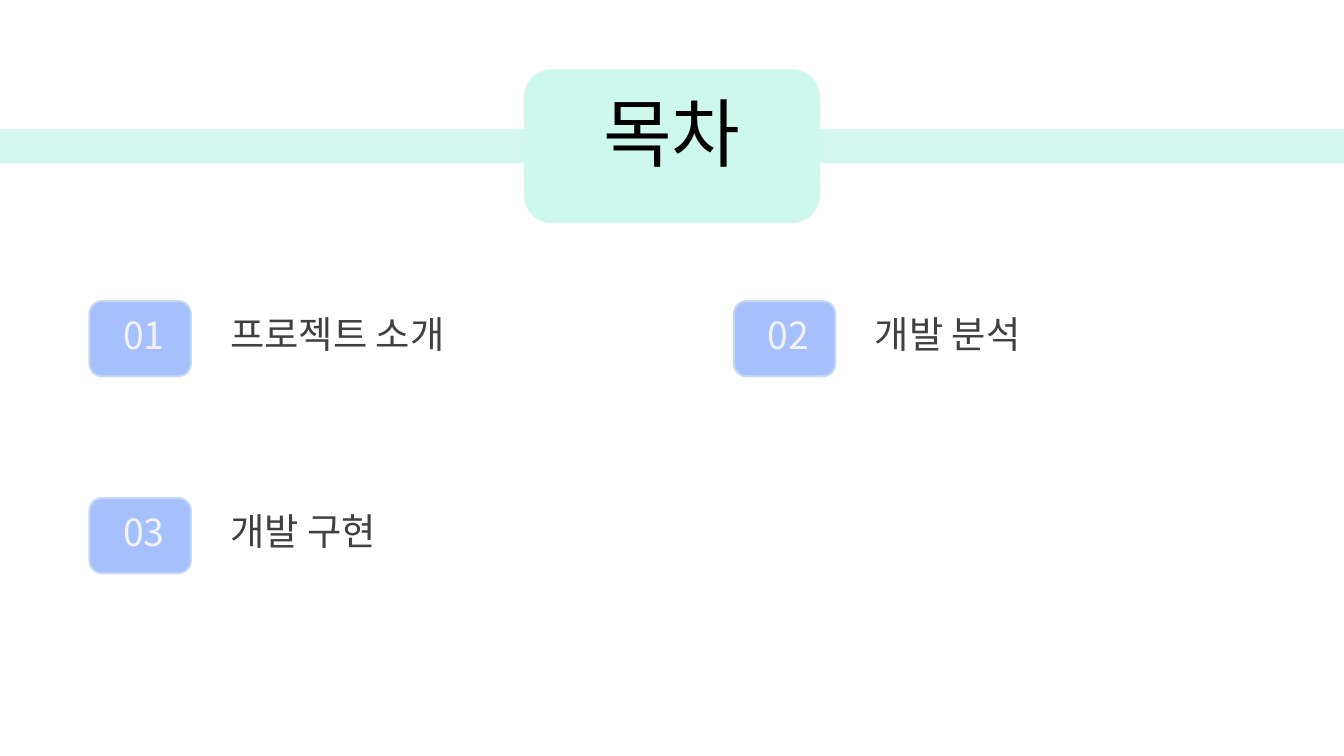
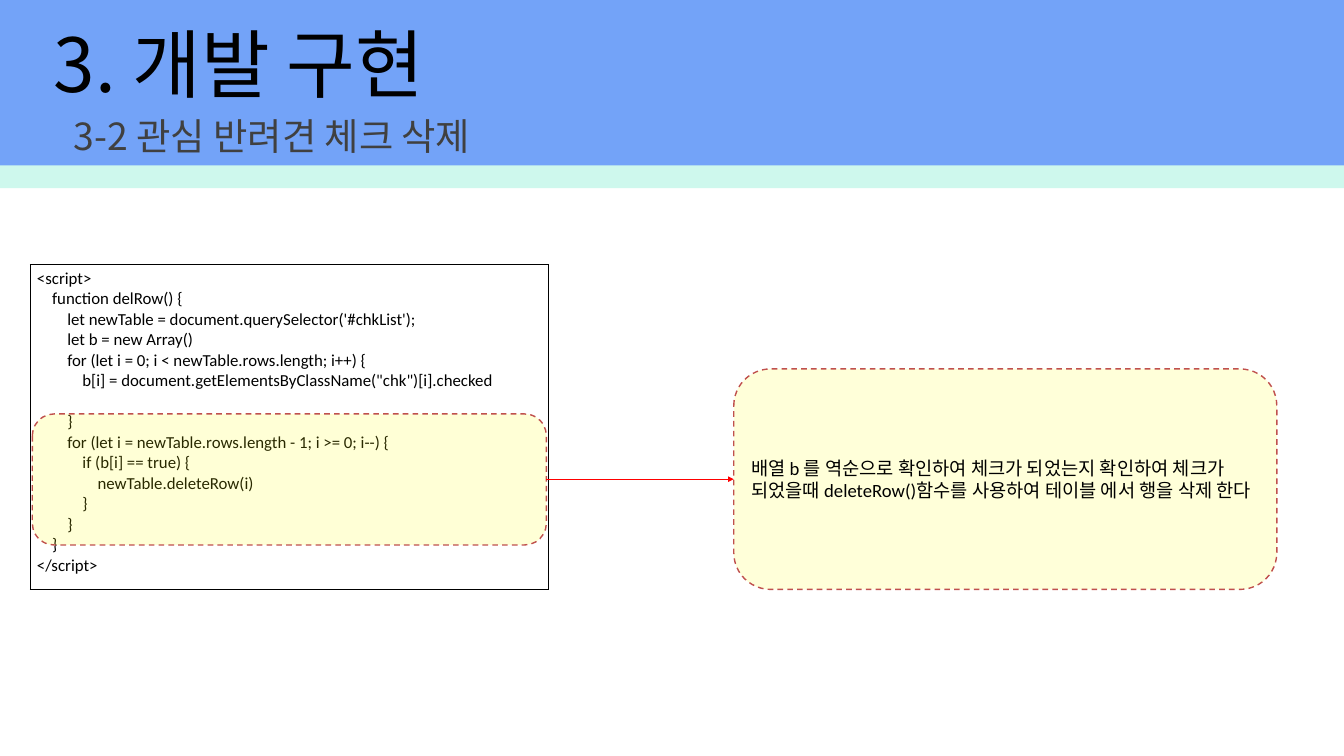
"""Build the contents slide and the row deletion slide of the project deck."""
from lxml.etree import SubElement
from pptx import Presentation
from pptx.dml.color import RGBColor
from pptx.enum.dml import MSO_LINE
from pptx.enum.shapes import MSO_CONNECTOR, MSO_SHAPE as Preset
from pptx.enum.text import MSO_ANCHOR as Anchor, MSO_AUTO_SIZE as AutoSize, PP_ALIGN as Align
from pptx.oxml.ns import qn
from pptx.util import Pt

WIDTH, HEIGHT = 1440, 810
BLACK = RGBColor(0x00, 0x00, 0x00)
DARK_GREY = RGBColor(0x40, 0x40, 0x40)
PALE_GREY = RGBColor(0xF2, 0xF2, 0xF2)
MINT = RGBColor(0xCE, 0xF8, 0xED)
BLUE = RGBColor(0x73, 0xA3, 0xF8)
BADGE_BLUE = RGBColor(0xA6, 0xC0, 0xFE)
BADGE_EDGE = RGBColor(0xC6, 0xD9, 0xF1)
YELLOW = RGBColor(0xFF, 0xFF, 0x00)
BRICK = RGBColor(0xC0, 0x50, 0x4D)
RED = RGBColor(0xFF, 0x00, 0x00)
KOREAN, LATIN = "Noto Sans CJK KR", "Calibri"

TOPICS = ["프로젝트 소개", "개발 분석", "개발 구현"]
CODE = [
    "<script>",
    "    function delRow() {",
    "        let newTable = document.querySelector('#chkList');",
    "        let b = new Array()",
    "        for (let i = 0; i < newTable.rows.length; i++) {",
    "            b[i] = document.getElementsByClassName(\"chk\")[i].checked",
    "\n        }",
    "        for (let i = newTable.rows.length - 1; i >= 0; i--) {",
    "            if (b[i] == true) {",
    "                newTable.deleteRow(i)",
    "            }",
    "        }",
    "    }",
    "</script>",
]
EXPLANATION = (
    "배열 b 를 역순으로 확인하여 체크가 되었는지 확인하여 체크가 되었을때 "
    "deleteRow()함수를 사용하여 테이블 에서 행을 삭제 한다"
)


def points(*values):
    """Convert numbers to lengths in points."""
    return [Pt(value) for value in values]


def write(frame, lines, size, color, font=KOREAN, align=Align.LEFT):
    """Fill a text frame with one paragraph per line."""
    frame.word_wrap = True
    for index, line in enumerate(lines):
        paragraph = frame.add_paragraph() if index else frame.paragraphs[0]
        paragraph.alignment = align
        for position, piece in enumerate(line.split("\n")):
            if position:
                paragraph.add_line_break()
            if piece:
                run = paragraph.add_run()
                run.text = piece
                run.font.size = Pt(size)
                run.font.color.rgb = color
                run.font.name = font
                SubElement(run.font._element, qn("a:ea"), typeface=KOREAN)
        if line.startswith("\n"):
            paragraph.font.size = Pt(size)
            for line_break in paragraph._p.findall(qn("a:br")):
                SubElement(line_break, qn("a:rPr"), sz=str(size * 100))


def add_text(slide, box, text, size, color, align=Align.LEFT):
    """Add a text box that fits its text."""
    frame = slide.shapes.add_textbox(*points(*box)).text_frame
    write(frame, [text], size, color, align=align)
    frame.auto_size = AutoSize.SHAPE_TO_FIT_TEXT


def add_title(slide, box, text, font=KOREAN, align=Align.LEFT, anchor=Anchor.TOP):
    """Place the title placeholder in front and return its text frame."""
    title = slide.shapes.title
    title.element.getparent().append(title.element)
    title.left, title.top, title.width, title.height = points(*box)
    frame = title.text_frame
    frame.auto_size = AutoSize.NONE
    frame.vertical_anchor = anchor
    write(frame, [text], 80, BLACK, font, align)
    return frame


def add_block(slide, preset, box, fill, opacity=100):
    """Add a filled shape without outline."""
    shape = slide.shapes.add_shape(preset, *points(*box))
    shape.shadow.inherit = False
    shape.fill.solid()
    shape.fill.fore_color.rgb = fill
    if opacity < 100:
        color = shape.fill._xPr.find(qn("a:solidFill"))[0]
        SubElement(color, qn("a:alpha"), val=str(opacity * 1000))
    shape.line.fill.background()
    return shape


def outline(shape, color, width):
    """Give a shape a solid outline."""
    shape.line.color.rgb = color
    shape.line.width = Pt(width)


def add_marker(slide, box, opacity):
    """Add a translucent yellow box with a dashed outline."""
    marker = add_block(slide, Preset.ROUNDED_RECTANGLE, box, YELLOW, opacity)
    outline(marker, BRICK, 1.5)
    marker.line.dash_style = MSO_LINE.DASH
    return marker


def add_topic(slide, left, top, number, topic):
    """Add a numbered badge with its topic."""
    badge = add_block(slide, Preset.FLOWCHART_ALTERNATE_PROCESS, (left, top, 108.7, 80.6), BADGE_BLUE)
    outline(badge, BADGE_EDGE, 2)
    add_text(slide, (left, top + 8, 116.6, 55.4), f"{number:02}", 40, PALE_GREY, Align.CENTER)
    add_text(slide, (left + 144, top + 7.2, 321, 55.4), topic, 40, DARK_GREY)


def add_code(slide, box):
    """Add the code listing as a bordered single-cell table."""
    table = slide.shapes.add_table(1, 1, *points(*box)).table
    table.first_row = table.horz_banding = False
    cell = table.cell(0, 0)
    write(cell.text_frame, CODE, 18, BLACK, LATIN)
    properties = cell._tc.get_or_add_tcPr()
    for side in ("lnL", "lnR", "lnT", "lnB"):
        border = SubElement(properties, qn(f"a:{side}"), w=str(Pt(1)))
        SubElement(SubElement(border, qn("a:solidFill")), qn("a:srgbClr"), val=str(BLACK))
    cell.fill.background()


def add_arrow(slide, start, end):
    """Add a thin red arrow."""
    arrow = slide.shapes.add_connector(MSO_CONNECTOR.STRAIGHT, *points(*start, *end))
    outline(arrow, RED, 0.75)
    SubElement(arrow.line._get_or_add_ln(), qn("a:tailEnd"), type="triangle")
    SubElement(arrow._element.spPr, qn("a:effectLst"))


def build_contents(slide):
    """Build the table of contents."""
    add_block(slide, Preset.RECTANGLE, (0, 138.2, WIDTH, 36.7), MINT, 87)
    plate = add_block(slide, Preset.ROUNDED_RECTANGLE, (561.6, 74.2, 316.8, 164.9), MINT)
    plate.adjustments[0] = 0.18
    frame = add_title(slide, (561.6, 28, 316.8, 210.5), "목차", LATIN, Align.CENTER, Anchor.MIDDLE)
    frame.margin_left = frame.margin_right = frame.margin_top = frame.margin_bottom = Pt(4)
    frame.paragraphs[0].line_spacing = Pt(112)
    for index, topic in enumerate(TOPICS):
        row, column = divmod(index, 2)
        add_topic(slide, 95.8 + 690.5 * column, 322.6 + 211 * row, index + 1, topic)


def build_deletion(slide):
    """Build the code walkthrough for deleting checked rows."""
    add_code(slide, (32.4, 283.7, 555.1, 347.8))
    callout = add_marker(slide, (786.2, 395.3, 581.8, 236.2), 15)
    callout.text_frame.vertical_anchor = Anchor.MIDDLE
    write(callout.text_frame, [EXPLANATION], 20, BLACK, LATIN)
    add_marker(slide, (34.6, 443.5, 550.8, 140.4), 16)
    add_arrow(slide, (585.4, 513.4), (786.2, 513.4))
    add_block(slide, Preset.RECTANGLE, (0, 0, WIDTH, 180.7), BLUE)
    add_block(slide, Preset.RECTANGLE, (0, 177.1, WIDTH, 24.5), MINT)
    add_title(slide, (50.4, 15.1, 642.2, 104.4), "3. 개발 구현")
    add_text(slide, (72, 118.1, 491.8, 55.4), "3-2 관심 반려견 체크 삭제", 40, DARK_GREY)


def main():
    """Create and save the presentation."""
    presentation = Presentation()
    presentation.slide_width, presentation.slide_height = points(WIDTH, HEIGHT)
    title_only = presentation.slide_layouts[5]
    for build in (build_contents, build_deletion):
        build(presentation.slides.add_slide(title_only))
    presentation.save("out.pptx")


if __name__ == "__main__":
    main()
